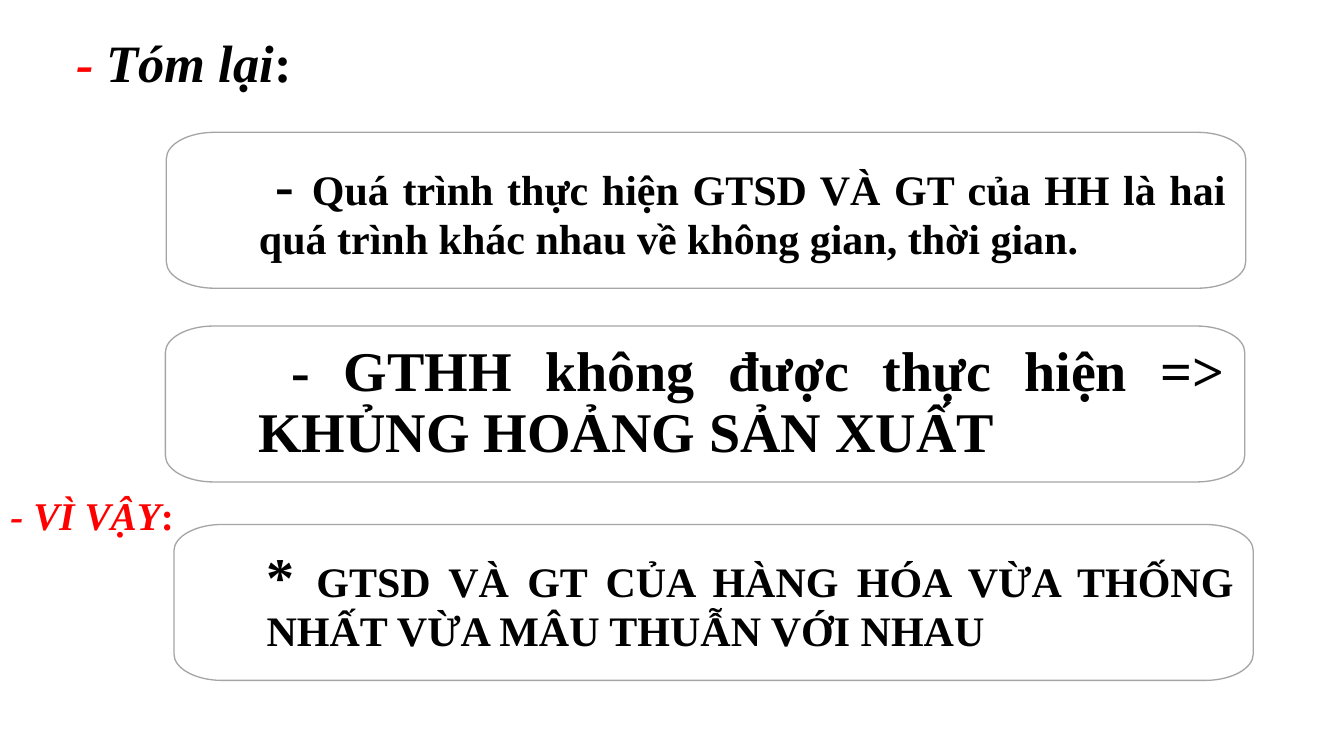
import pptx
import pptx.util
import pptx.dml.color
import pptx.enum.text
import pptx.oxml.ns
import lxml.etree

Inches, Pt = pptx.util.Inches, pptx.util.Pt
qn = pptx.oxml.ns.qn
ALIGN = pptx.enum.text.PP_ALIGN
RED = pptx.dml.color.RGBColor(0xFF, 0, 0)
BLACK = pptx.dml.color.RGBColor(0, 0, 0)
WHITE = pptx.dml.color.RGBColor(0xFF, 0xFF, 0xFF)
GRAY = pptx.dml.color.RGBColor(0xA5, 0xA5, 0xA5)
FONT = "Times New Roman"

prs = pptx.Presentation()
prs.slide_width, prs.slide_height = Inches(14.22), Inches(8)
s = prs.slides.add_slide(prs.slide_layouts[5])


def write_heading(sp, box, size, runs):
    """Place a one-line heading; runs are (text, colour, italic)."""
    sp.left, sp.top, sp.width, sp.height = [Inches(v) for v in box]
    tf = sp.text_frame
    tf.word_wrap = False
    tf.auto_size = pptx.enum.text.MSO_AUTO_SIZE.SHAPE_TO_FIT_TEXT
    tf.vertical_anchor = pptx.enum.text.MSO_ANCHOR.TOP
    p = tf.paragraphs[0]
    p.alignment, p.line_spacing = ALIGN.CENTER, 1.4
    p.space_before, p.space_after = Pt(0), Pt(size / 10)
    p.font.name, p.font.size, p.font.bold = FONT, Pt(size), True
    for text, color, italic in runs:
        r = p.add_run()
        r.text = text
        r.font.color.rgb, r.font.italic = color, italic


def round_corners(sp, outline, corners):
    """Turn every other side of the outline into a curve towards its corner."""
    sides = list(sp.element.iter(qn("a:lnTo")))[::2]
    for side, start, corner, end in zip(sides, outline[::2], corners, outline[1::2]):
        curve = lxml.etree.Element(qn("a:cubicBezTo"))
        pulls = [[a + 0.55 * (c - a) for a, c in zip(point, corner)] for point in (start, end)]
        for x, y in pulls + [end]:
            lxml.etree.SubElement(curve, qn("a:pt"), x=str(int(x)), y=str(int(y)))
        side.getparent().replace(side, curve)


# Title
write_heading(s.shapes.title, (0.69, 0, 2.51, 1.04), 40,
              [("- ", RED, True), ("Tóm lại", BLACK, True), (":", BLACK, False)])

# Cards with elliptical corners
W, H, RX, RY = Inches(11.42), Inches(1.65), Inches(0.51), Inches(0.28)
BIG, SMALL = 42.7, 32
corners = [(0, 0), (W, 0), (W, H), (0, H)]
outline = [(0, RY), (RX, 0), (W - RX, 0), (W, RY),
           (W, H - RY), (W - RX, H), (RX, H), (0, H - RY)]

cards = [
    (1.76, 1.4, [(" - ", BIG),
                 ("Quá trình thực hiện GTSD VÀ GT của HH là hai quá trình khác nhau "
                  "về không gian, thời gian.", SMALL)]),
    (1.75, 3.45, [(" - GTHH không được thực hiện => KHỦNG HOẢNG SẢN XUẤT", BIG)]),
    (1.84, 5.55, [("* ", BIG),
                  ("GTSD VÀ GT CỦA HÀNG HÓA VỪA THỐNG NHẤT VỪA MÂU THUẪN VỚI NHAU", SMALL)]),
]
for left, top, runs in cards:
    builder = s.shapes.build_freeform(*outline[0])
    builder.add_line_segments(outline[1:], close=True)
    sp = builder.convert_to_shape(Inches(left), Inches(top))
    round_corners(sp, outline, corners)
    sp.shadow.inherit = False
    sp.fill.solid()
    sp.fill.fore_color.rgb = WHITE
    sp.line.color.rgb, sp.line.width = GRAY, Pt(1)

    tf = sp.text_frame
    tf.word_wrap = True
    tf.vertical_anchor = pptx.enum.text.MSO_ANCHOR.MIDDLE
    tf.margin_left = Inches(0.98)
    tf.margin_top = tf.margin_right = tf.margin_bottom = Inches(0.2)
    p = tf.paragraphs[0]
    p.alignment, p.line_spacing, p.space_after = ALIGN.JUSTIFY, 0.9, Pt(BIG * 0.35)
    p.font.name, p.font.bold, p.font.color.rgb = FONT, True, BLACK
    for text, size in runs:
        r = p.add_run()
        r.text, r.font.size = text, Pt(size)

# Conclusion label
label = s.shapes.add_textbox(0, 0, 0, 0)
write_heading(label, (0, 4.95, 1.95, 0.73), 29.9,
              [("- VÌ VẬY", RED, True), (":", RED, False)])

prs.save("out.pptx")
